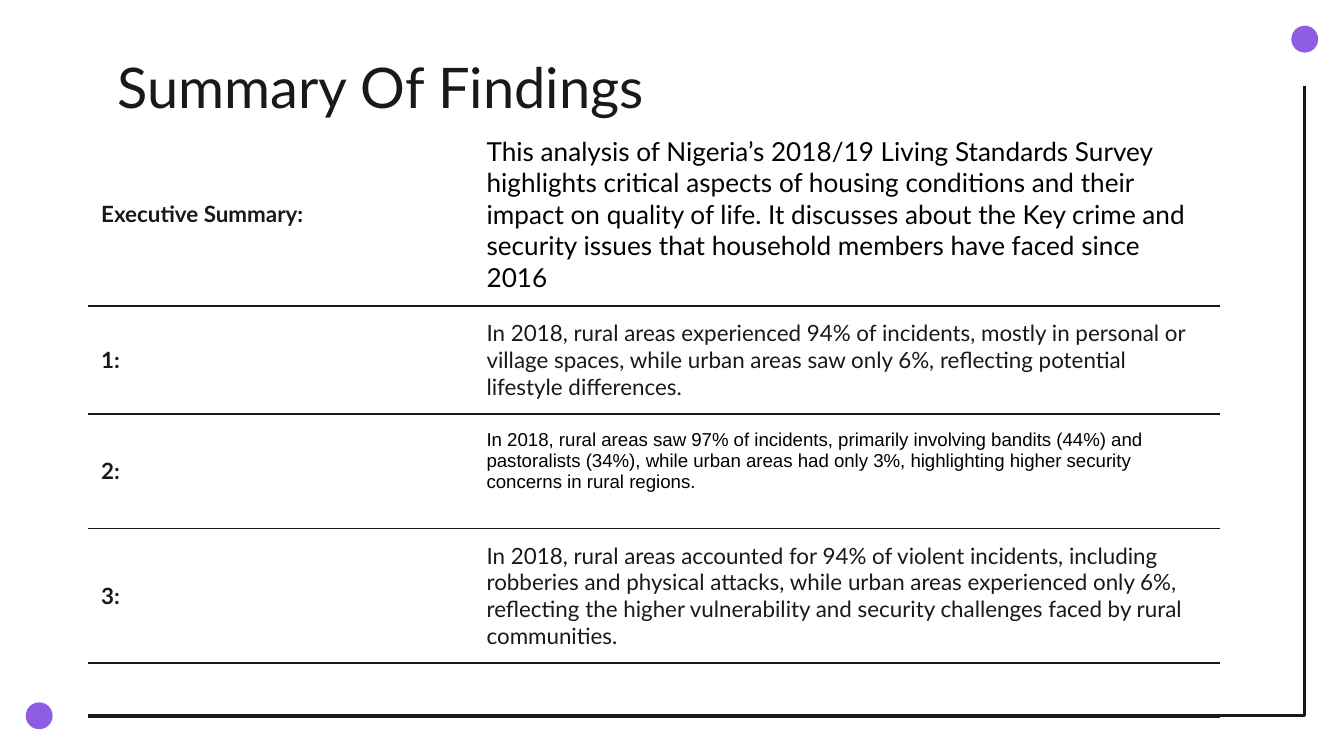
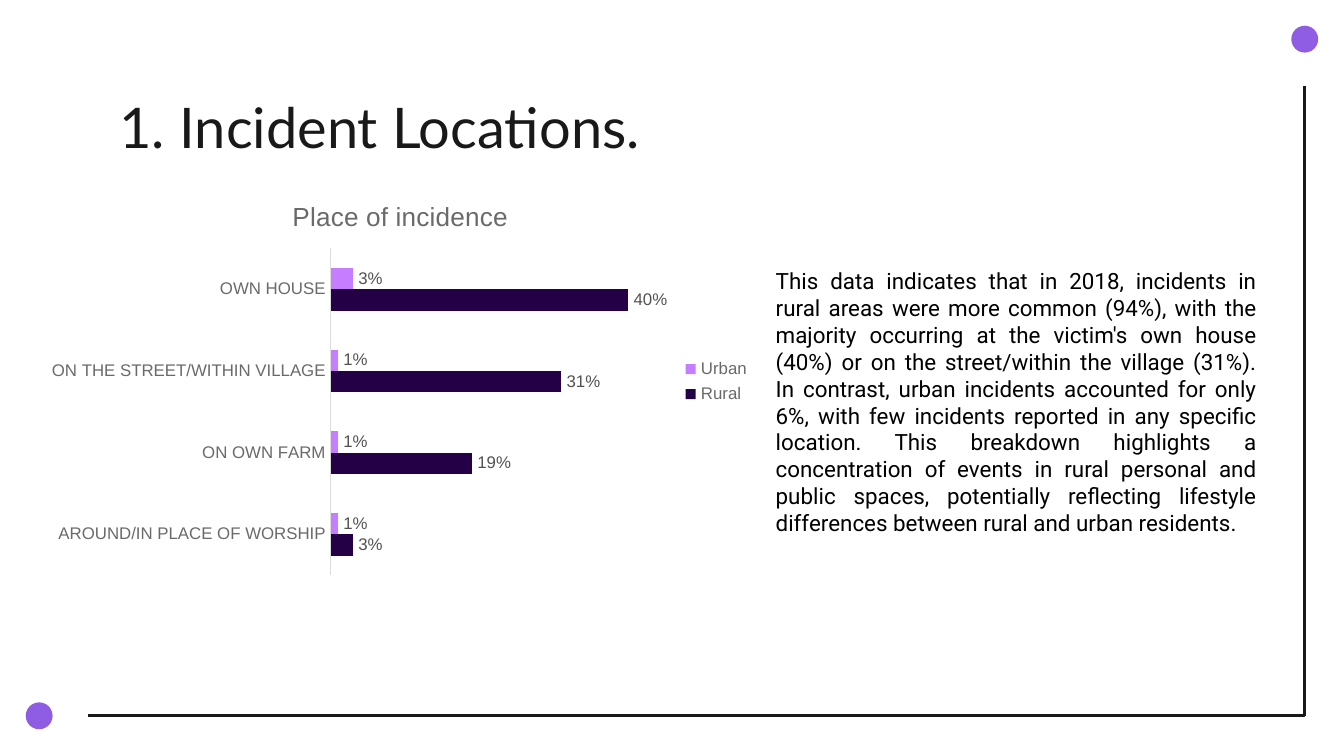
"""Builds two slides on crime and security findings: a summary table and a bar chart."""
from lxml.etree import SubElement
from pptx import Presentation
from pptx.chart.data import CategoryChartData
from pptx.dml.color import RGBColor
from pptx.enum.chart import XL_CHART_TYPE, XL_LABEL_POSITION, XL_LEGEND_POSITION, XL_TICK_MARK
from pptx.enum.shapes import MSO_SHAPE
from pptx.enum.text import MSO_ANCHOR, PP_ALIGN
from pptx.oxml.ns import qn
from pptx.util import Pt

INK, BLACK, PURPLE, RURAL, URBAN = "191919", "000000", "8F5DE4", "240046", "C77DFF"
AXIS_TEXT, AXIS_LINE, LABEL_TEXT = "6A6A6A", "DCDCDC", "525252"

TITLE = {"size": 30, "name": "Lato", "color": INK}
HEADING = {"size": 12, "name": "Lato", "color": INK, "bold": True}
FINDING = {"size": 12, "name": "Lato", "color": INK, "bold": False}
SUMMARY = {"size": 14, "name": "Lato", "color": BLACK, "bold": False}
NOTE = {"size": 10, "name": "Arial", "color": BLACK, "bold": False}
COMMENT = {"size": 12, "name": "Roboto", "color": BLACK}
CHART_TEXT = {"size": 10, "name": "Arial", "color": INK}
CHART_TITLE = {"size": 14, "name": "Arial", "color": AXIS_TEXT, "bold": False}
AXIS = {"size": 9, "name": "Arial", "color": AXIS_TEXT}
LABEL = {"size": 9, "name": "Arial", "color": LABEL_TEXT}

MARGIN = 7.2
DOT = 14.4
LEFT, RIGHT, TOP, BOTTOM = 47, 699, 46, 383.5
DOT_CENTERS = [(RIGHT, 21), (21, BOTTOM)]
TABLE_BOX = (47, 65.5, 606.5, 316.5)
COLUMNS = [206.5, 400]

SUMMARY_TITLE = ("Summary Of Findings", (56, 21, 607, 45))
FINDINGS = [
    ("Executive Summary:",
     "This analysis of Nigeria’s 2018/19 Living Standards Survey highlights critical aspects of "
     "housing conditions and their impact on quality of life. It discusses about the Key crime "
     "and security issues that household members have faced since 2016",
     SUMMARY, {"height": 98.4, "rule": 1.5}),
    ("1:",
     "In 2018, rural areas experienced 94% of incidents, mostly in personal or village spaces, "
     "while urban areas saw only 6%, reflecting potential lifestyle differences.",
     FINDING, {"height": 57.8, "rule": 1, "after": 16}),
    ("2:",
     "In 2018, rural areas saw 97% of incidents, primarily involving bandits (44%) and "
     "pastoralists (34%), while urban areas had only 3%, highlighting higher security concerns "
     "in rural regions.",
     NOTE, {"height": 59.5, "rule": 1, "bottom": 18}),
    ("3:",
     "In 2018, rural areas accounted for 94% of violent incidents, including robberies and "
     "physical attacks, while urban areas experienced only 6%, reflecting the higher "
     "vulnerability and security challenges faced by rural communities.",
     FINDING, {"height": 72, "rule": 1, "after": 16}),
    ("", "", FINDING, {"height": 14.4}),
    ("", "", FINDING, {"height": 14.4, "rule": 1.5}),
]

LOCATIONS_TITLE = ("1. Incident Locations.", (57, 42.5, 607, 45))
LOCATIONS_COMMENT = (
    "This data indicates that in 2018, incidents in rural areas were more common (94%), with the "
    "majority occurring at the victim's own house (40%) or on the street/within the village "
    "(31%). In contrast, urban incidents accounted for only 6%, with few incidents reported in "
    "any specific location. This breakdown highlights a concentration of events in rural "
    "personal and public spaces, potentially reflecting lifestyle differences between rural and "
    "urban residents.", (408.5, 57.5, 272, 315.5))
CHART_BOX = (20, 96.5, 389, 216)
CHART_NAME = "Place of incidence"
PLACES = ["AROUND/IN PLACE OF WORSHIP", "ON OWN FARM", "ON THE STREET/WITHIN VILLAGE", "OWN HOUSE"]
SHARES = [("Rural", RURAL, [0.03, 0.19, 0.31, 0.4]), ("Urban", URBAN, [0.01, 0.01, 0.01, 0.03])]


def rgb(value):
    return RGBColor.from_string(value)


def points(values):
    return [Pt(value) for value in values]


def set_all(target, values):
    for key, value in values.items():
        setattr(target, key, value)


def style(font, look):
    for key, value in look.items():
        if key == "color":
            font.color.rgb = rgb(value)
        else:
            setattr(font, key, Pt(value) if key == "size" else value)


def paint(fill, color):
    fill.solid()
    fill.fore_color.rgb = rgb(color)


def add_frame(slide):
    for x, y in DOT_CENTERS:
        dot = slide.shapes.add_shape(MSO_SHAPE.OVAL, *points((x - DOT / 2, y - DOT / 2, DOT, DOT)))
        dot.shadow.inherit = False
        paint(dot.fill, PURPLE)
        dot.line.fill.background()
    builder = slide.shapes.build_freeform(Pt(LEFT), Pt(BOTTOM))
    builder.add_line_segments([points((RIGHT, BOTTOM)), points((RIGHT, TOP))], close=False)
    corner = builder.convert_to_shape()
    corner.shadow.inherit = False
    corner.fill.background()
    corner.line.color.rgb = rgb(INK)
    corner.line.width = Pt(1.5)


def add_text(slide, content, look, anchor=MSO_ANCHOR.TOP, align=PP_ALIGN.LEFT):
    text, box = content
    frame = slide.shapes.add_textbox(*points(box)).text_frame
    set_all(frame, {"word_wrap": True, "vertical_anchor": anchor})
    set_all(frame, {f"margin_{side}": Pt(MARGIN) for side in ("left", "top", "right", "bottom")})
    paragraph = frame.paragraphs[0]
    paragraph.alignment = align
    run = paragraph.add_run()
    run.text = text
    style(run.font, look)


def add_rule(cell, width):
    border = SubElement(cell._tc.get_or_add_tcPr(), qn("a:lnB"), w=str(Pt(width)))
    color = SubElement(SubElement(border, qn("a:solidFill")), qn("a:srgbClr"))
    color.set("val", INK)


def fill_cell(cell, text, look, layout):
    edge = MARGIN if text else 0
    set_all(cell, {"vertical_anchor": MSO_ANCHOR.MIDDLE, "margin_left": Pt(MARGIN),
                   "margin_right": Pt(MARGIN), "margin_top": Pt(edge),
                   "margin_bottom": Pt(layout.get("bottom", edge))})
    paragraph = cell.text_frame.paragraphs[0]
    if text:
        run = paragraph.add_run()
        run.text = text
        style(run.font, look)
    else:
        SubElement(paragraph._p, qn("a:endParaRPr"), sz="800")
    if "after" in layout:
        paragraph.space_after = Pt(layout["after"])
    if "rule" in layout:
        add_rule(cell, layout["rule"])
    cell.fill.background()


def add_findings(slide):
    table = slide.shapes.add_table(len(FINDINGS), len(COLUMNS), *points(TABLE_BOX)).table
    set_all(table, {"first_row": False, "horz_banding": False})
    table._tbl.tblPr.find(qn("a:tableStyleId")).text = "{2D5ABB26-0587-4C30-8999-92F81FD0307C}"
    for column, width in zip(table.columns, COLUMNS):
        column.width = Pt(width)
    for row, (heading, finding, look, layout) in zip(table.rows, FINDINGS):
        row.height = Pt(layout["height"])
        heading_layout = {key: layout[key] for key in layout if key == "rule"}
        fill_cell(row.cells[0], heading, HEADING, heading_layout)
        fill_cell(row.cells[1], finding, look, layout)


def add_locations(slide):
    data = CategoryChartData(number_format="0%")
    data.categories = PLACES
    for name, _, values in SHARES:
        data.add_series(name, values)
    chart = slide.shapes.add_chart(XL_CHART_TYPE.BAR_CLUSTERED, *points(CHART_BOX), data).chart
    style(chart.font, CHART_TEXT)

    chart.has_title = True
    chart.chart_title.include_in_layout = False
    heading = chart.chart_title.text_frame.paragraphs[0].add_run()
    heading.text = CHART_NAME
    style(heading.font, CHART_TITLE)

    chart.has_legend = True
    set_all(chart.legend, {"position": XL_LEGEND_POSITION.RIGHT, "include_in_layout": False})
    style(chart.legend.font, AXIS)

    places = chart.category_axis
    set_all(places, {"major_tick_mark": XL_TICK_MARK.NONE, "minor_tick_mark": XL_TICK_MARK.NONE,
                     "has_major_gridlines": False})
    style(places.tick_labels.font, AXIS)
    places.format.line.color.rgb = rgb(AXIS_LINE)
    places.format.line.width = Pt(0.75)
    set_all(chart.value_axis, {"has_major_gridlines": False, "visible": False})

    plot = chart.plots[0]
    set_all(plot, {"gap_width": 182, "overlap": 0, "vary_by_categories": False})
    for series, (_, color, _) in zip(plot.series, SHARES):
        paint(series.format.fill, color)
        labels = series.data_labels
        set_all(labels, {"show_value": True, "position": XL_LABEL_POSITION.OUTSIDE_END,
                         "number_format": "0%", "number_format_is_linked": False})
        style(labels.font, LABEL)


def main():
    deck = Presentation()
    set_all(deck, {"slide_width": Pt(720), "slide_height": Pt(405)})
    blank = deck.slide_layouts[6]

    summary = deck.slides.add_slide(blank)
    add_frame(summary)
    add_text(summary, SUMMARY_TITLE, TITLE)
    add_findings(summary)

    locations = deck.slides.add_slide(blank)
    add_frame(locations)
    add_text(locations, LOCATIONS_TITLE, TITLE)
    add_text(locations, LOCATIONS_COMMENT, COMMENT, MSO_ANCHOR.MIDDLE, PP_ALIGN.JUSTIFY)
    add_locations(locations)

    deck.save("out.pptx")


if __name__ == "__main__":
    main()
